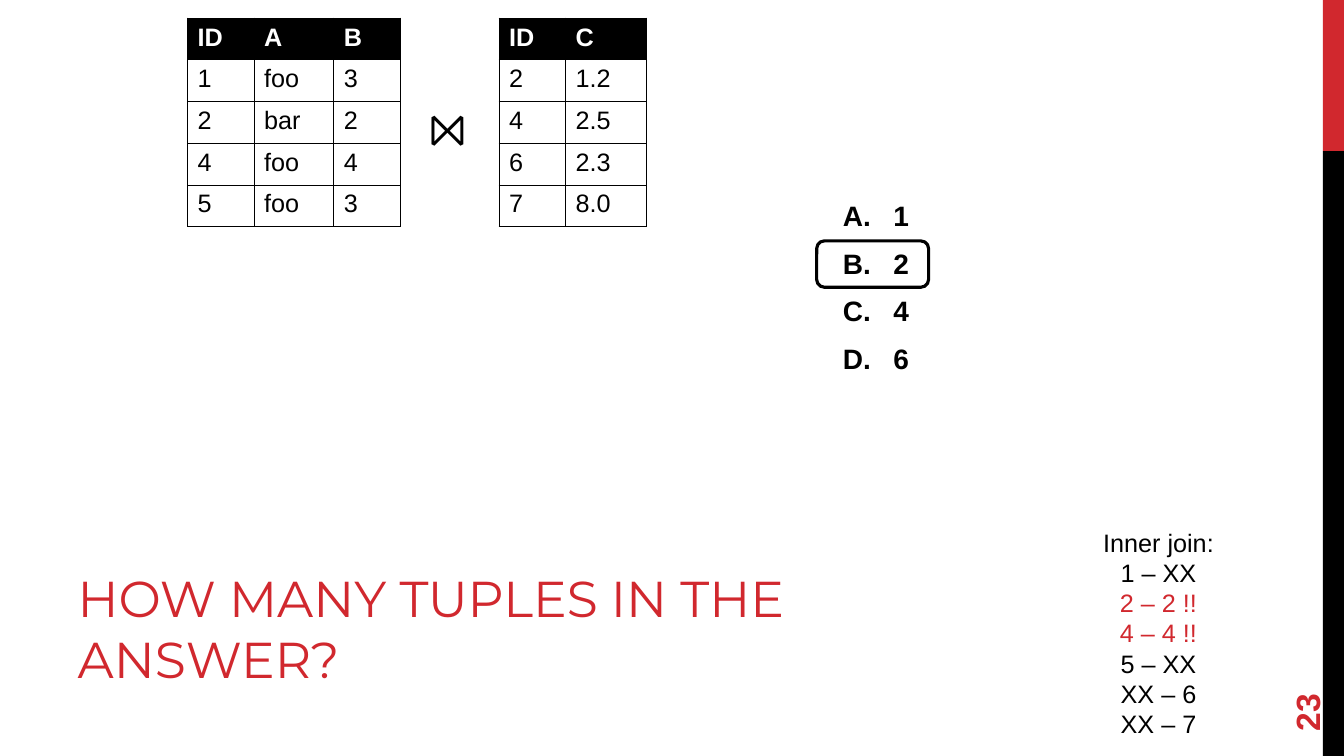
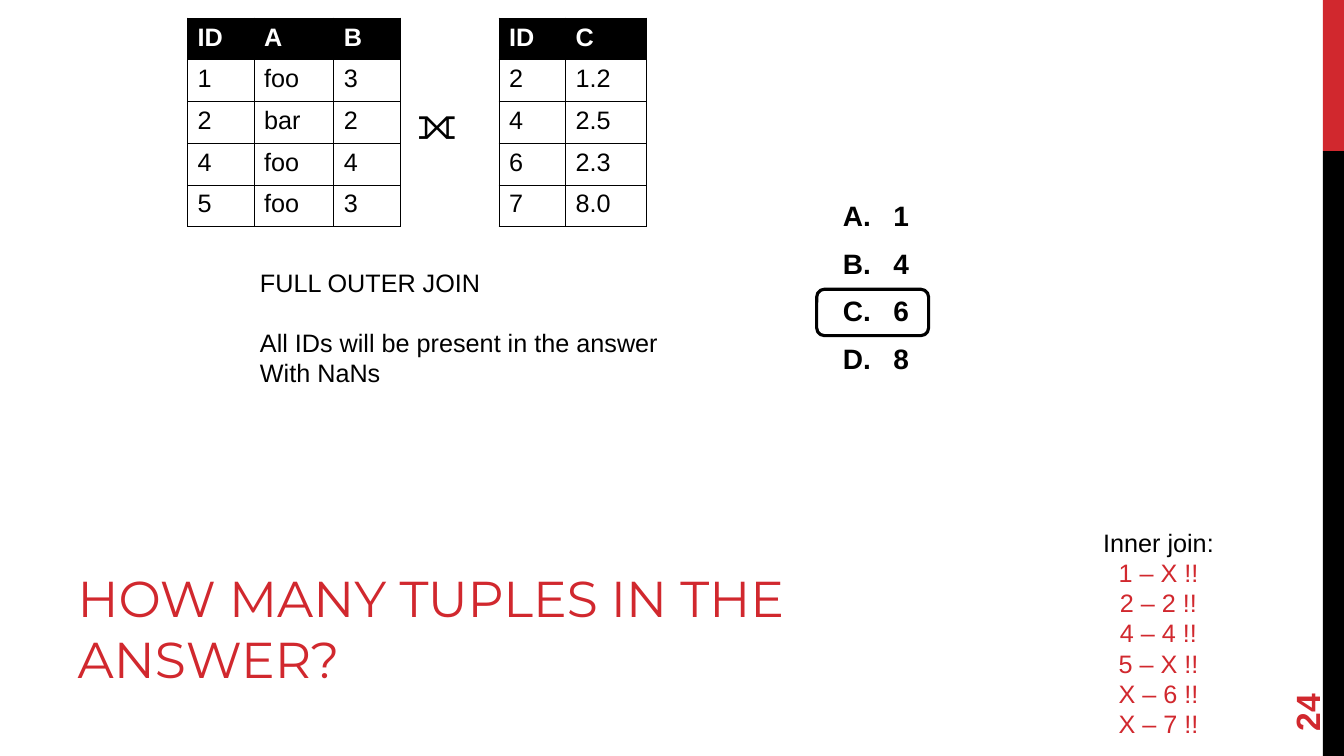
from lxml.etree import SubElement
from pptx import Presentation
from pptx.dml.color import RGBColor
from pptx.enum.shapes import MSO_SHAPE
from pptx.enum.text import MSO_ANCHOR, MSO_AUTO_SIZE, PP_ALIGN
from pptx.oxml import parse_xml
from pptx.oxml.ns import nsdecls, qn
from pptx.util import Emu, Pt

RED, BLACK, WHITE = "D1282E", "000000", "FFFFFF"
SANS, HEAD = "Arial", "Montserrat"


def px(n):
    """Turn hundredths of an inch into EMU."""
    return Emu(n * 9144)


def hue(code):
    """Turn a hex string into a colour."""
    return RGBColor.from_string(code)


class Deck:
    """Holds the style and the current slide."""

    def __init__(self):
        """Start an empty wide deck."""
        self.prs = Presentation()
        self.prs.slide_width, self.prs.slide_height = px(1333), px(750)
        self.page = None

    def open(self):
        """Add a slide, with the side bands set on the master once."""
        first = self.page is None
        self.page = self.prs.slides.add_slide(self.prs.slide_layouts[1])
        if first:
            self.band(0, 150, RED)
            self.band(150, 600, BLACK)

    def band(self, top, high, code):
        """Draw one side band and move it to the master."""
        bar = self.shape(MSO_SHAPE.RECTANGLE, 1312, top, 21, high)
        bar.fill.solid()
        bar.fill.fore_color.rgb = hue(code)
        bar.line.fill.background()
        bar.element.nvSpPr.cNvPr.set("id", str(100 + top))
        self.prs.slide_master.shapes.element.append(bar.element)

    def shape(self, kind, left, top, wide, high):
        """Add a preset shape without shadow."""
        item = self.page.shapes.add_shape(
            kind, px(left), px(top), px(wide), px(high))
        item.shadow.inherit = False
        return item

    def font(self, para, size, code=BLACK, bold=False, name=SANS):
        """Set the font of a paragraph."""
        font = para.font
        font.name, font.size, font.bold = name, Pt(size), bold
        font.color.rgb = hue(code)

    def place(self, item, left, top, wide, high):
        """Move a placeholder and stop its text from shrinking."""
        item.left, item.top = px(left), px(top)
        item.width, item.height = px(wide), px(high)
        item.text_frame.auto_size = MSO_AUTO_SIZE.NONE
        return item.text_frame

    def title(self, text):
        """Fill the title."""
        frame = self.place(self.page.shapes.title, 67, 538, 844, 150)
        frame.vertical_anchor = MSO_ANCHOR.BOTTOM
        frame.text = text
        para = frame.paragraphs[0]
        para.alignment = PP_ALIGN.LEFT
        self.font(para, 36, RED, name=HEAD)

    def options(self, items):
        """Fill the body with lettered answers."""
        frame = self.place(self.page.placeholders[1], 826, 192, 352, 478)
        frame.vertical_anchor = MSO_ANCHOR.TOP
        frame.text = "\n".join(items)
        for n, para in enumerate(frame.paragraphs):
            props = para._p.get_or_add_pPr()
            props.set("marL", str(px(50)))
            props.set("indent", str(px(-50)))
            tint = SubElement(props, qn("a:buClr"))
            SubElement(tint, qn("a:srgbClr"), val=BLACK)
            SubElement(props, qn("a:buFont"), typeface="+mj-lt")
            SubElement(props, qn("a:buAutoNum"), type="alphaUcPeriod")
            para.space_before = Pt(10 if n else 0)
            self.font(para, 20, bold=True)

    def mark(self, pick):
        """Frame the right answer, counted from zero."""
        ring = self.shape(
            MSO_SHAPE.ROUNDED_RECTANGLE, 810, 239 + 48 * (pick - 1), 111, 46)
        ring.fill.background()
        ring.line.color.rgb = hue(BLACK)
        ring.line.width = Pt(2.25)

    def text(self, lines, left, top, wide, high, size=18, code=BLACK,
             bold=False, align=PP_ALIGN.LEFT):
        """Add a text box."""
        box = self.page.shapes.add_textbox(
            px(left), px(top), px(wide), px(high))
        frame = box.text_frame
        frame.word_wrap = True
        frame.text = "\n".join(lines)
        for para in frame.paragraphs:
            para.alignment = align
            self.font(para, size, code, bold)
        return box

    def pairs(self, lines):
        """List the joined pairs, with matches in red."""
        box = self.text(["Inner join:"] + lines, 1018, 518, 262, 220,
                        align=PP_ALIGN.CENTER)
        for para in box.text_frame.paragraphs:
            if para.text.endswith("!!"):
                para.font.color.rgb = hue(RED)

    def note(self, head, lines):
        """Add a heading with lines set apart below it."""
        box = self.text([head] + lines, 248, 260, 418, 130)
        box.text_frame.paragraphs[1].space_before = Pt(21.6)

    def number(self, num):
        """Add the upright page number."""
        box = self.text([str(num)], 1224, 637, 144, 53, 24, RED, True)
        box.rotation = 270
        box.text_frame.vertical_anchor = MSO_ANCHOR.MIDDLE

    def table(self, left, cols, rows):
        """Add a ruled table with a black head row."""
        high = px(207)
        grid = self.page.shapes.add_table(
            len(rows), len(cols), px(left), px(18), px(sum(cols)), high).table
        for col, wide in zip(grid.columns, cols):
            col.width = px(wide)
        for r, row in enumerate(rows):
            grid.rows[r].height = high // len(rows)
            for c, word in enumerate(row):
                self.cell(grid.cell(r, c), word, r == 0)

    def cell(self, cell, word, head):
        """Fill and rule one table cell."""
        cell.text = word
        self.font(cell.text_frame.paragraphs[0], 18,
                  WHITE if head else BLACK, head)
        if head:
            cell.fill.solid()
            cell.fill.fore_color.rgb = hue(BLACK)
        else:
            cell.fill.background()
        props = cell._tc.get_or_add_tcPr()
        for n, side in enumerate("LRTB"):
            props.insert(n, parse_xml(
                f'<a:ln{side} {nsdecls("a")} w="{Pt(0.75)}"><a:solidFill>'
                f'<a:srgbClr val="{BLACK}"/></a:solidFill></a:ln{side}>'))

    def quiz(self, num, sign, spot, items, pick, lines):
        """Build one join question."""
        self.open()
        self.table(186, (66, 79, 66), (
            ("ID", "A", "B"), ("1", "foo", "3"), ("2", "bar", "2"),
            ("4", "foo", "4"), ("5", "foo", "3")))
        self.table(495, (66, 80), (
            ("ID", "C"), ("2", "1.2"), ("4", "2.5"),
            ("6", "2.3"), ("7", "8.0")))
        self.text([sign], *spot, 72, 63, 32)
        self.title("HOW MANY TUPLES IN THE ANSWER?")
        self.options(items)
        self.mark(pick)
        self.pairs(lines)
        self.number(num)


def main():
    """Build and save the deck."""
    deck = Deck()
    deck.quiz(23, "⨝", (416, 95), "1246", 1, [
        "1 – XX", "2 – 2 !!", "4 – 4 !!", "5 – XX", "XX – 6", "XX – 7"])
    deck.quiz(24, "⟗", (404, 89), "1468", 2, [
        "1 – X !!", "2 – 2 !!", "4 – 4 !!", "5 – X !!", "X – 6 !!",
        "X – 7 !!"])
    deck.note("FULL OUTER JOIN", [
        "All IDs will be present in the answer", "With NaNs"])
    deck.prs.save("out.pptx")


if __name__ == "__main__":
    main()
